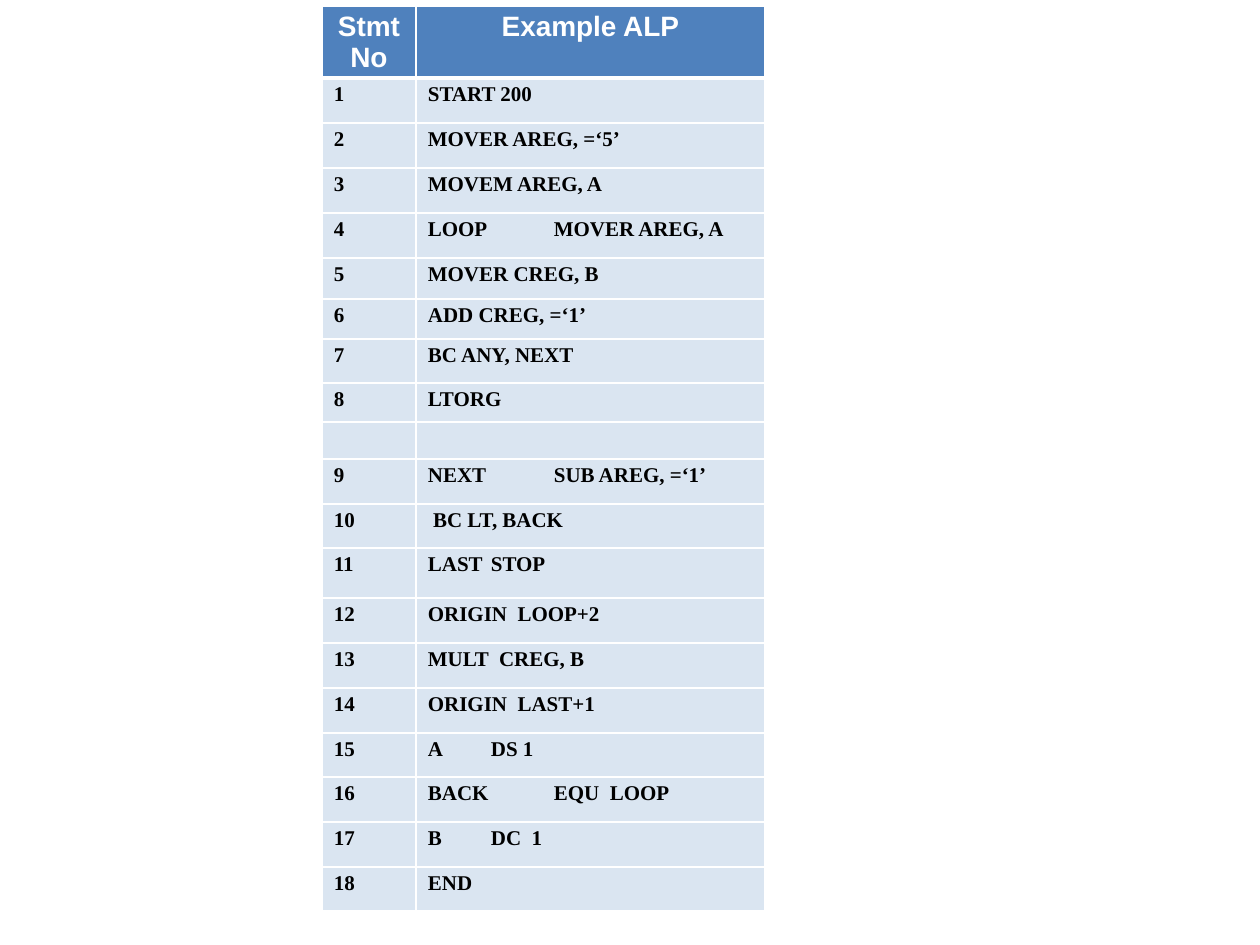
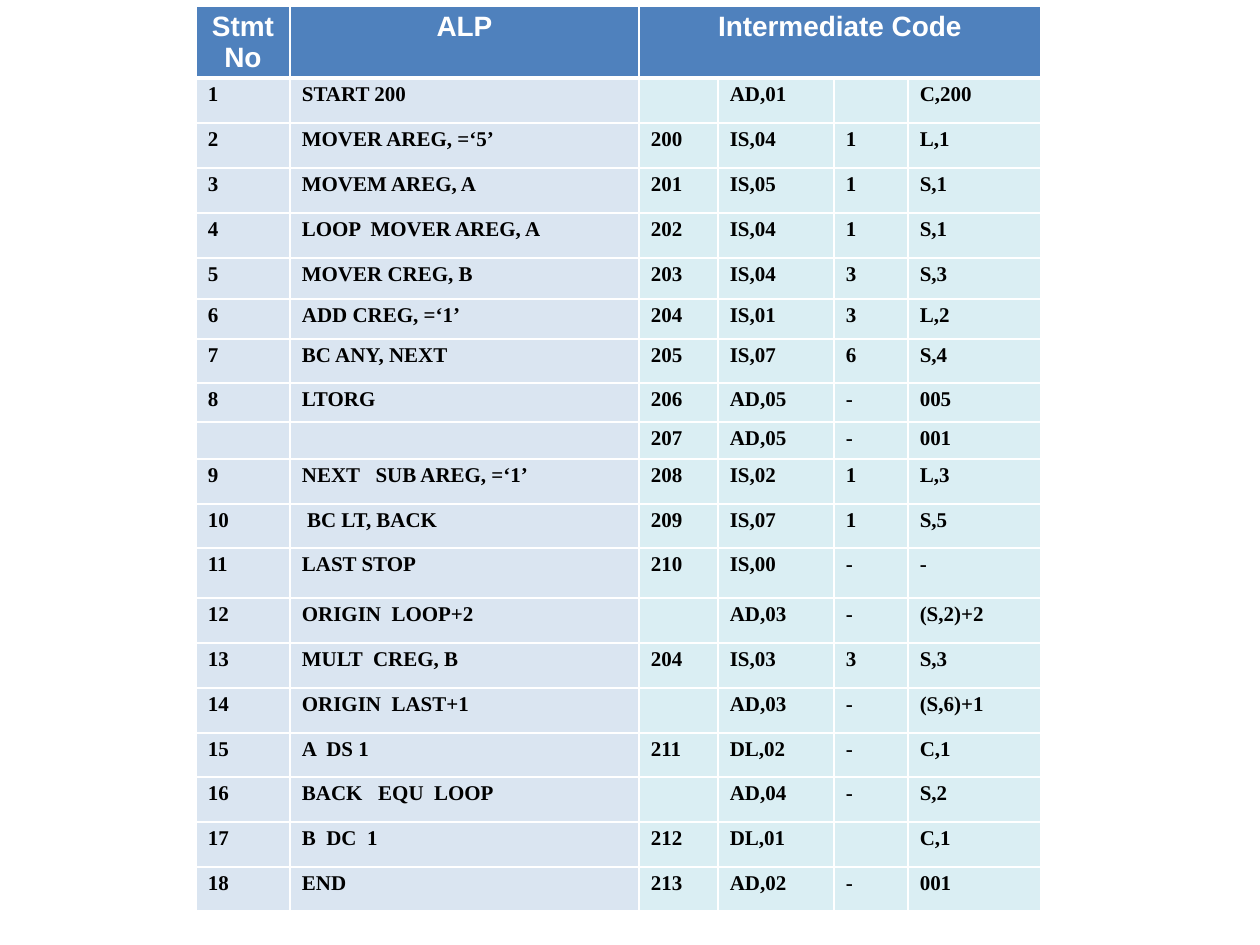
import lxml.etree
import pptx
import pptx.dml.color
import pptx.enum.text
import pptx.oxml.ns
import pptx.util

# Statement number, assembly code, then address, opcode, register and operand
STEPS = [
    ("1", "START 200", "", "AD,01", "", "C,200"),
    ("2", "MOVER AREG, =‘5’", "200", "IS,04", "1", "L,1"),
    ("3", "MOVEM AREG, A", "201", "IS,05", "1", "S,1"),
    ("4", "LOOP \tMOVER AREG, A", "202", "IS,04", "1", "S,1"),
    ("5", "MOVER CREG, B", "203", "IS,04", "3", "S,3"),
    ("6", "ADD CREG, =‘1’", "204", "IS,01", "3", "L,2"),
    ("7", "BC ANY, NEXT", "205", "IS,07", "6", "S,4"),
    ("8", "LTORG", "206", "AD,05", "-", "005"),
    ("", "", "207", "AD,05", "-", "001"),
    ("9", "NEXT \tSUB AREG, =‘1’", "208", "IS,02", "1", "L,3"),
    ("10", " BC LT, BACK", "209", "IS,07", "1", "S,5"),
    ("11", "LAST\tSTOP", "210", "IS,00", "-", "-"),
    ("12", "ORIGIN  LOOP+2", "", "AD,03", "-", "(S,2)+2"),
    ("13", "MULT  CREG, B", "204", "IS,03", "3", "S,3"),
    ("14", "ORIGIN  LAST+1", "", "AD,03", "-", "(S,6)+1"),
    ("15", "A\tDS 1", "211", "DL,02", "-", "C,1"),
    ("16", "BACK \tEQU  LOOP", "", "AD,04", "-", "S,2"),
    ("17", "B\tDC  1", "212", "DL,01", "", "C,1"),
    ("18", "END", "213", "AD,02", "-", "001"),
]
# Labelled statements as written beside the intermediate code
TIGHT = {
    "4": "LOOP  MOVER AREG, A",
    "9": "NEXT   SUB AREG, =‘1’",
    "11": "LAST STOP",
    "15": "A  DS 1",
    "16": "BACK   EQU  LOOP",
    "17": "B  DC  1",
}
SLIDES = [
    {"left": 322, "heads": ("Stmt No", "Example ALP"),
     "rows": [step[:2] for step in STEPS]},
    {"left": 196, "heads": ("Stmt No", "ALP", "Intermediate Code", "", "", ""),
     "rows": [(no, TIGHT.get(no, code), *rest) for no, code, *rest in STEPS]},
]

PX = pptx.util.Inches(1) / 126
TOP = 6
WIDTHS = (94, 349, 79, 116, 74, 133)
HEIGHTS = (62, 45, 45, 45, 45, 41, 40, 44, 39, 37,
           45, 44, 50, 45, 45, 45, 44, 45, 45, 44)
CODE_COL = 2

RGB = pptx.dml.color.RGBColor
WHITE = RGB(0xFF, 0xFF, 0xFF)
BLACK = RGB(0, 0, 0)
BLUE = RGB(0x4F, 0x81, 0xBD)
PALE = RGB(0xDA, 0xE5, 0xF1)
AQUA = RGB(0xDA, 0xEE, 0xF3)

HEAD = {"name": "Arial", "size": pptx.util.Pt(16), "bold": True}
BODY = {"name": "Times New Roman", "size": pptx.util.Pt(12), "bold": True}


def px(num):
    return pptx.util.Emu(round(num * PX))


INSETS = {"margin_left": px(12), "margin_right": px(12),
          "margin_top": px(5), "margin_bottom": px(5)}


def apply(item, form):
    for key, val in form.items():
        setattr(item, key, val)


def add_node(parent, tag, **attrs):
    return lxml.etree.SubElement(parent, pptx.oxml.ns.qn(tag), **attrs)


def rule(cell, top, base):
    """Draw white cell borders; top and base are widths in points."""
    props = cell._tc.get_or_add_tcPr()
    for side, wide in (("L", 1), ("R", 1), ("T", top), ("B", base)):
        line = add_node(props, "a:ln" + side, w=str(pptx.util.Pt(wide)))
        fill = add_node(line, "a:solidFill")
        add_node(fill, "a:srgbClr", val=str(WHITE))


def fill_cell(cell, text, row, col):
    head = row == 0
    rule(cell, 3 if row == 1 else 1, 3 if head else 1)
    apply(cell, INSETS)
    cell.fill.solid()
    shade = BLUE if head else PALE if col < CODE_COL else AQUA
    cell.fill.fore_color.rgb = shade
    para = cell.text_frame.paragraphs[0]
    if head:
        para.alignment = pptx.enum.text.PP_ALIGN.CENTER
    if text:
        run = para.add_run()
        run.text = text
        apply(run.font, HEAD if head else BODY)
        run.font.color.rgb = WHITE if head else BLACK
    else:
        add_node(para._p, "a:endParaRPr", sz="1200")


def add_grid(slide, left, heads, rows):
    grid = [heads, *rows]
    wides = WIDTHS[:len(heads)]
    table = slide.shapes.add_table(
        len(grid), len(wides), px(left), px(TOP),
        px(sum(wides)), px(sum(HEIGHTS))).table
    table.horz_banding = False
    for col, wide in zip(table.columns, wides):
        col.width = px(wide)
    for row, high in zip(table.rows, HEIGHTS):
        row.height = px(high)
    for r, texts in enumerate(grid):
        for c, text in enumerate(texts):
            fill_cell(table.cell(r, c), text, r, c)
    if len(wides) > CODE_COL:
        table.cell(0, CODE_COL).merge(table.cell(0, len(wides) - 1))


def main():
    deck = pptx.Presentation()
    deck.slide_width, deck.slide_height = px(1260), px(945)
    blank = deck.slide_layouts[6]
    for page in SLIDES:
        add_grid(deck.slides.add_slide(blank), **page)
    deck.save("out.pptx")


if __name__ == "__main__":
    main()
